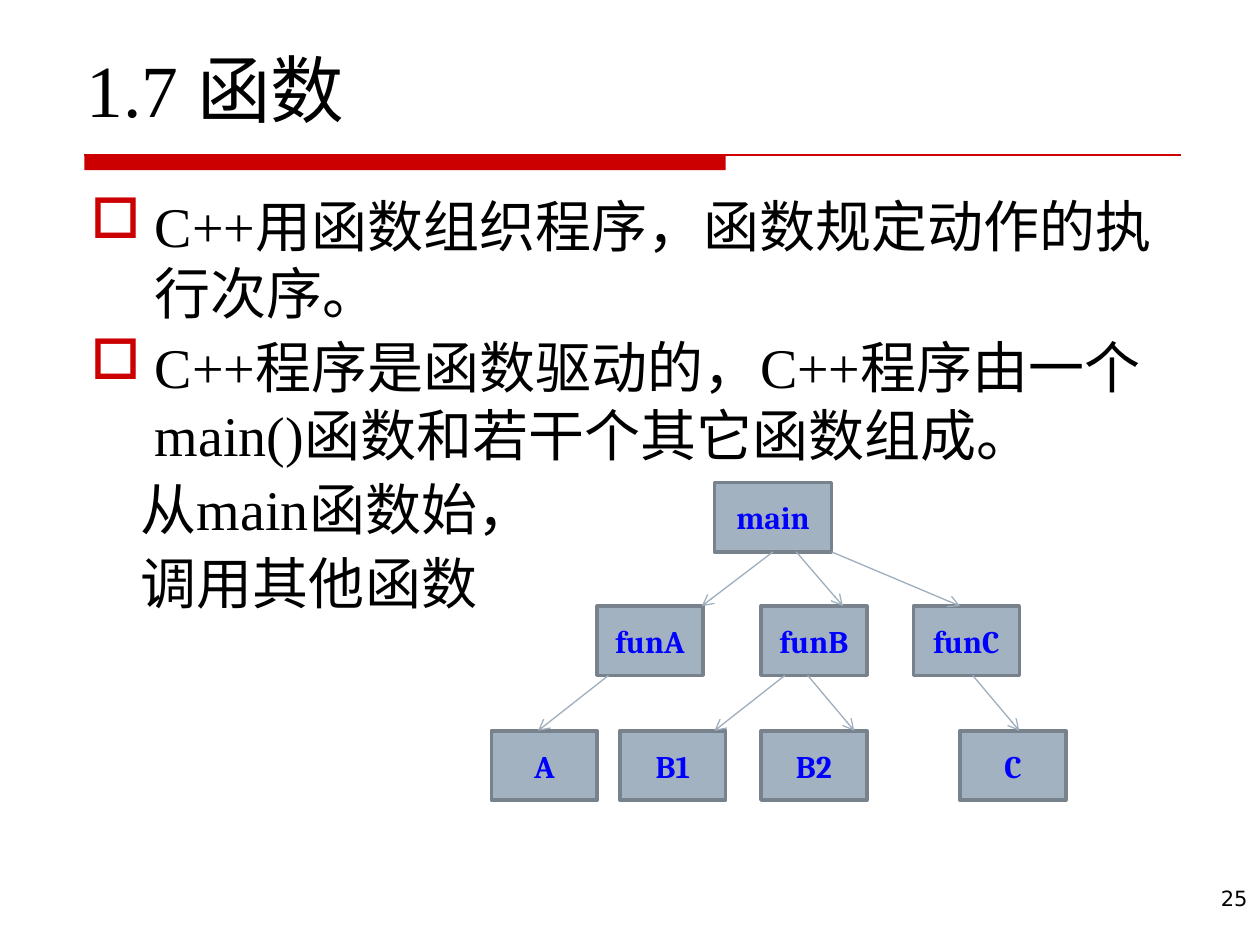
from lxml import etree
from pptx import Presentation, util as u
from pptx.dml.color import RGBColor
from pptx.enum import shapes, text
from pptx.oxml.ns import qn

In = u.Inches


def color(value):
    return RGBColor.from_string(value)


def add_bullet(p, char, fill):
    pPr = p._p.get_or_add_pPr()
    clr = etree.SubElement(pPr, qn("a:buClr"))
    etree.SubElement(clr, qn("a:srgbClr"), val=fill)
    etree.SubElement(pPr, qn("a:buChar"), char=char)


def write(p, words, size=32, font="Times New Roman", fill="000000", bold=False,
          align=None, before=0, left=0, hanging=0, bullet=None):
    pPr = p._p.get_or_add_pPr()
    pPr.set("marL", str(In(left)))
    pPr.set("indent", str(In(-hanging)))
    if bullet:
        add_bullet(p, bullet, Slide.RED)
    p.alignment = align
    p.space_before = u.Pt(before)
    r = p.add_run()
    r.text = words
    r.font.size = u.Pt(size)
    r.font.name = font
    r.font.bold = bold
    r.font.color.rgb = color(fill)


class Slide:
    RED = "CC0000"
    BOX_FILL, BOX_LINE = "A3B2C1", "77828D"
    ARROW, LABEL = "9FAEBD", "0000FF"

    def __init__(self, prs):
        self.s = prs.slides.add_slide(prs.slide_layouts[6])

    def text(self, x, y, w, h, paragraphs, anchor=text.MSO_ANCHOR.TOP):
        tf = self.s.shapes.add_textbox(In(x), In(y), In(w), In(h)).text_frame
        tf.word_wrap = True
        tf.vertical_anchor = anchor
        for i, (words, style) in enumerate(paragraphs):
            p = tf.add_paragraph() if i else tf.paragraphs[0]
            write(p, words, before=4 if i else 0, **style)

    def rect(self, x, y, w, h, fill, line=None):
        sp = self.s.shapes.add_shape(shapes.MSO_SHAPE.RECTANGLE, In(x), In(y), In(w), In(h))
        sp.shadow.inherit = False
        sp.fill.solid()
        sp.fill.fore_color.rgb = color(fill)
        if line:
            sp.line.color.rgb = color(line)
            sp.line.width = u.Pt(2)
        else:
            sp.line.fill.background()
        return sp

    def box(self, label, x, y, w, h):
        sp = self.rect(x, y, w, h, self.BOX_FILL, self.BOX_LINE)
        tf = sp.text_frame
        tf.vertical_anchor = text.MSO_ANCHOR.MIDDLE
        write(tf.paragraphs[0], label, size=18, font="Cambria", fill=self.LABEL,
              bold=True, align=text.PP_ALIGN.CENTER)
        return sp

    def line(self, x1, y1, x2, y2, fill, arrow=False):
        c = self.s.shapes.add_connector(shapes.MSO_CONNECTOR.STRAIGHT,
                                        In(x1), In(y1), In(x2), In(y2))
        c.line.color.rgb = color(fill)
        c.line.width = u.Pt(0.75)
        if arrow:
            etree.SubElement(c.line._get_or_add_ln(), qn("a:tailEnd"), type="arrow")
        etree.SubElement(c._element.spPr, qn("a:effectLst"))
        return c


def main():
    prs = Presentation()
    prs.slide_width, prs.slide_height = In(10), In(7.5)
    slide = Slide(prs)

    # Rule under the title
    slide.rect(0.67, 1.23, 5.09, 0.12, Slide.RED)
    slide.line(0.67, 1.23, 9.37, 1.23, Slide.RED)

    # Page number, title and body
    slide.text(7.86, 6.98, 2.14, 0.52, [
        ("25", dict(size=12, font="DejaVu Sans", align=text.PP_ALIGN.RIGHT))])
    slide.text(0.59, 0.36, 8.75, 0.74, [("1.7 函数", dict(size=42))],
               text.MSO_ANCHOR.BOTTOM)
    item = dict(left=0.51, hanging=0.51, bullet="□")
    follow = dict(left=0.4)
    slide.text(0.62, 1.47, 8.75, 5.43, [
        ("C++用函数组织程序，函数规定动作的执行次序。", item),
        ("C++程序是函数驱动的，C++程序由一个main()函数和若干个其它函数组成。", item),
        ("从main函数始，", follow),
        ("调用其他函数", follow)])

    # Call tree: boxes by level
    height, tops = 0.55, [3.83, 4.81, 5.8]
    levels = [
        (0.93, {"main": 5.67}),
        (0.84, {"funA": 4.74, "funB": 6.04, "funC": 7.25}),
        (0.84, {"A": 3.9, "B1": 4.92, "B2": 6.04, "C": 7.62}),
    ]
    boxes = {}
    for top, (width, lefts) in zip(tops, levels):
        for label, left in lefts.items():
            boxes[label] = slide.box(label, left, top, width, height)

    # Calls from each level to the next: start x, end x
    calls = [
        [(6.13, 5.57), (6.32, 6.69), (6.6, 7.62)],
        [(4.83, 4.27), (6.23, 5.67), (6.41, 6.78), (7.72, 8.09)],
    ]
    arrows = [slide.line(x1, tops[i] + height, x2, tops[i + 1], Slide.ARROW, arrow=True)
              for i, pairs in enumerate(calls) for x1, x2 in pairs]
    arrows[0].begin_connect(boxes["main"], 2)

    prs.save("out.pptx")


if __name__ == "__main__":
    main()
